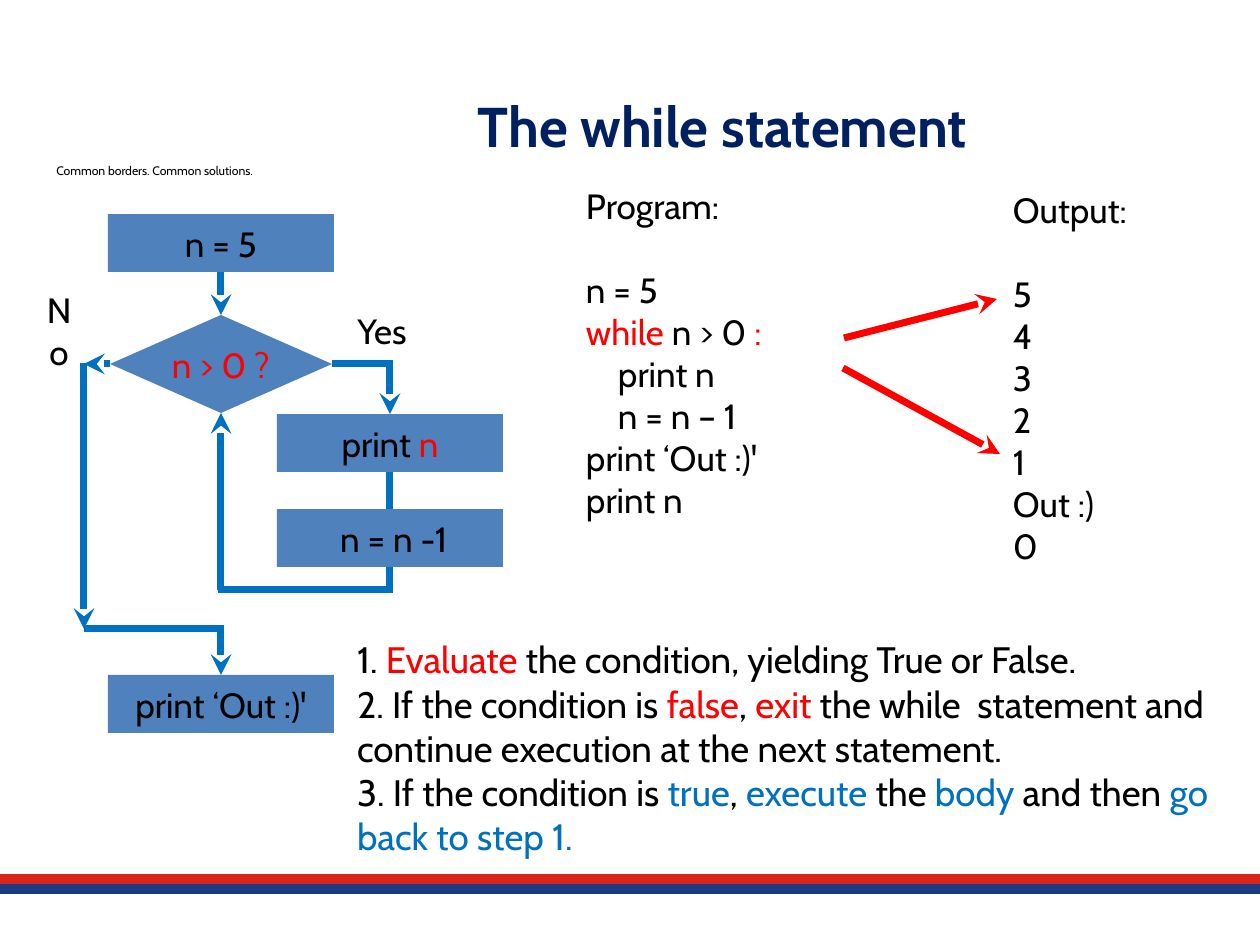
from lxml import etree
from pptx import Presentation, util as u
from pptx.dml.color import RGBColor
from pptx.enum import shapes as es, text as et
from pptx.oxml import ns

BLACK = RGBColor(0x00, 0x00, 0x00)
RED = RGBColor(0xFF, 0x00, 0x00)
BLUE = RGBColor(0x00, 0x70, 0xC0)
FILL = RGBColor(0x4F, 0x81, 0xBD)
NAVY = RGBColor(0x00, 0x20, 0x60)
BAND_RED = RGBColor(0xDA, 0x25, 0x1D)
BAND_BLUE = RGBColor(0x19, 0x3C, 0x85)
SCALE = u.Inches(10) / 1260
LEFT, MID = et.PP_ALIGN.LEFT, et.PP_ALIGN.CENTER
INDENT = 32


def emu(*px):
    return [round(n * SCALE) for n in px]


def style(obj, form):
    for name, val in form.items():
        setattr(obj, name, val)


def write(shape, lines, size=20, align=LEFT, color=BLACK, bold=False, wrap=True, inset=0):
    frame = shape.text_frame
    style(frame, {"word_wrap": wrap, "vertical_anchor": et.MSO_ANCHOR.MIDDLE})
    if inset is not None:
        style(frame, {"margin_" + side: inset for side in ("left", "top", "right", "bottom")})
    for i, line in enumerate(lines):
        para = frame.paragraphs[0] if i == 0 else frame.add_paragraph()
        para.alignment = align
        for part in [line] if isinstance(line, str) else line:
            words, tint = (part, color) if isinstance(part, str) else part
            run = para.add_run()
            run.text = words
            style(run.font, {"name": "Cabin", "size": u.Pt(size), "bold": bold})
            run.font.color.rgb = tint
    return frame


def label(slide, box, lines, **form):
    return write(slide.shapes.add_textbox(*emu(*box)), lines, **form)


def node(slide, kind, box, line, color=BLACK):
    shape = slide.shapes.add_shape(kind, *emu(*box))
    shape.shadow.inherit = False
    shape.fill.solid()
    shape.fill.fore_color.rgb = FILL
    shape.line.fill.background()
    write(shape, [line], align=MID, color=color)
    return shape


def link(slide, start, end, color=BLUE, width=4, arrow=False, tail=None, head=None):
    line = slide.shapes.add_connector(es.MSO_CONNECTOR.STRAIGHT, *emu(*start, *end))
    if tail:
        line.begin_connect(*tail)
    if head:
        line.end_connect(*head)
    line.line.color.rgb = color
    line.line.width = u.Pt(width)
    if arrow:
        tip = etree.SubElement(line.line._get_or_add_ln(), ns.qn("a:tailEnd"))
        tip.set("type", "stealth")
    etree.SubElement(line._element.spPr, ns.qn("a:effectLst"))


def heading(slide, box):
    title = slide.shapes.title
    style(title, dict(zip(("left", "top", "width", "height"), emu(*box))))
    write(title, ["The while statement"], size=32, align=MID, color=NAVY, bold=True, inset=None)


def footer(slide, box):
    x, y, w, gap = box
    for i, color in enumerate((BAND_RED, BAND_BLUE)):
        link(slide, (x, y + i * gap), (x + w, y + i * gap), color, 6)


def flow(slide, box):
    x, y, w, h = box
    rect, wide, high = es.MSO_SHAPE.RECTANGLE, 226, 58
    main, side = x + 183, x + w - wide // 2
    edge, back, turn = x + 46, y + 376, y + 415
    mid = y + 150

    link(slide, (side, y + 213), (side, back))

    def step(center, top, line):
        return node(slide, rect, (center - wide // 2, top, wide, high), line)

    first = step(main, y, "n = 5")
    test = node(slide, es.MSO_SHAPE.DIAMOND, (main - 111, mid - 49, 222, 98), "n > 0 ?", RED)
    show = step(side, y + 200, ["print ", ("n", RED)])
    step(side, y + 295, " n = n -1")
    last = step(main, y + h - high, "print ‘Out :)'")

    link(slide, (main, y + high), (main, mid - 49), arrow=True, tail=(first, 2), head=(test, 0))
    link(slide, (main + 111, mid), (side + 3, mid), tail=(test, 3))
    link(slide, (side, mid), (side, y + 200), arrow=True, head=(show, 0))
    link(slide, (side + 3, back), (main - 3, back))
    link(slide, (main, back), (main, mid + 49), arrow=True, head=(test, 2))
    link(slide, (main - 111, mid), (edge, mid), arrow=True, tail=(test, 1))
    link(slide, (edge, mid - 1), (edge, turn), arrow=True)
    link(slide, (edge, turn), (main + 3, turn))
    link(slide, (main, turn), (main, y + h - high), arrow=True, head=(last, 0))

    label(slide, (x, y + 95, 42, 43), ["No"], align=MID)
    label(slide, (x + 319, y + 95, 50, 43), ["Yes"], align=MID, wrap=False)


def listing(slide, box, lines, inner=()):
    frame = label(slide, box, lines, wrap=False)
    frame.paragraphs[0].space_after = u.Pt(24)
    for i in inner:
        frame.paragraphs[i]._p.get_or_add_pPr().set("marL", str(emu(INDENT)[0]))


def code(slide, box):
    x, y, w, h = box
    listing(slide, (x, y + 4, 207, 344), [
        "Program:", "n = 5", [("while", RED), " n > 0 ", (":", RED)],
        "print n", "n = n – 1", "print ‘Out :)'", "print n"], inner=(3, 4))
    listing(slide, (x + w - 125, y + 8, 125, 387),
            ["Output:", "5", "4", "3", "2", "1", "Out :)", "0"])
    link(slide, (x + 258, y + 162), (x + 411, y + 123), RED, arrow=True)
    link(slide, (x + 257, y + 192), (x + 414, y + 278), RED, arrow=True)


def rules(slide, box):
    label(slide, box, [
        ["1. ", ("Evaluate", RED), " the condition, yielding True or False."],
        ["2. If the condition is ", ("false", RED), ", ", ("exit", RED),
         " the while  statement and continue execution at the next statement."],
        ["3. If the condition is ", ("true", BLUE), ", ", ("execute", BLUE), " the ",
         ("body", BLUE), " and then ", ("go back to step 1.", BLUE)]], size=21)


def main():
    deck = Presentation()
    deck.slide_width, deck.slide_height = emu(1260, 945)
    slide = deck.slides.add_slide(deck.slide_layouts[5])
    footer(slide, (0, 879, 1260, 10))
    label(slide, (44, 157, 268, 28), ["Common borders. Common solutions."], size=7, inset=None)
    heading(slide, (276, 57, 893, 137))
    flow(slide, (38, 214, 465, 519))
    code(slide, (586, 176, 552, 395))
    rules(slide, (357, 620, 903, 255))
    deck.save("out.pptx")


if __name__ == "__main__":
    main()
